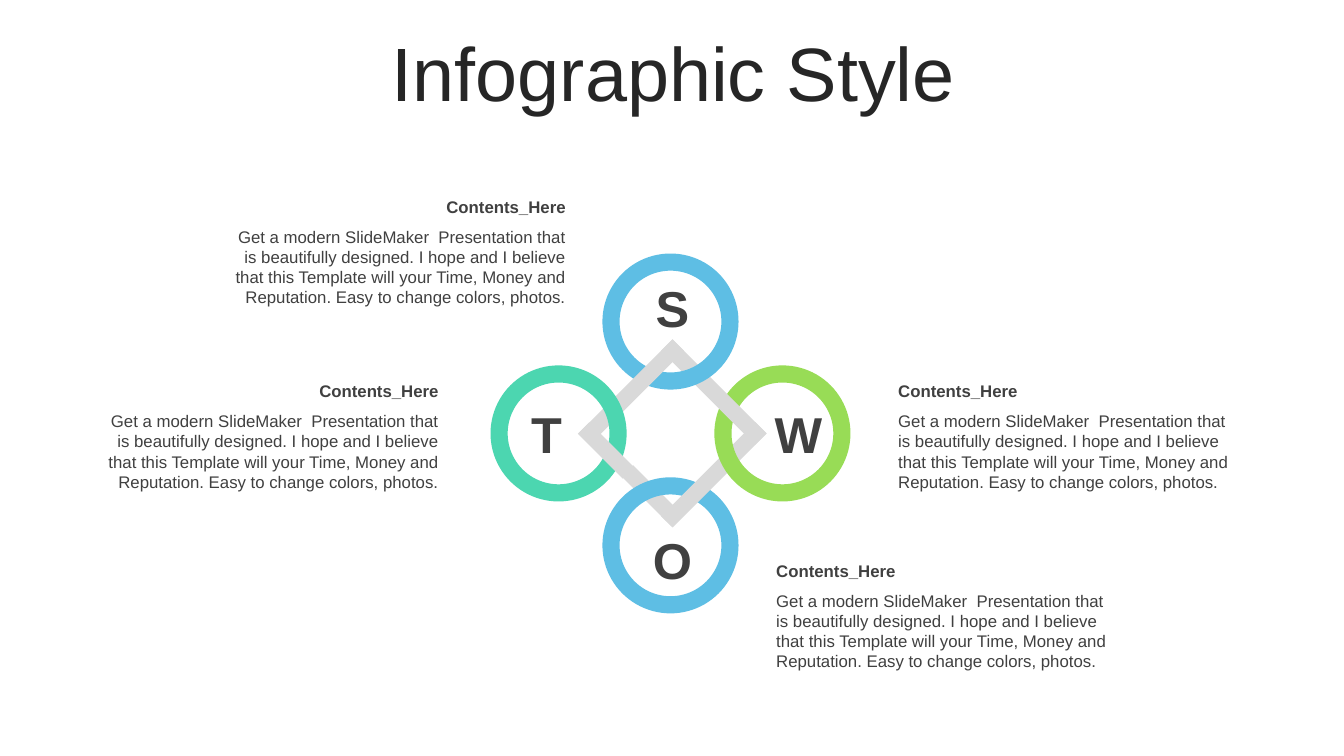
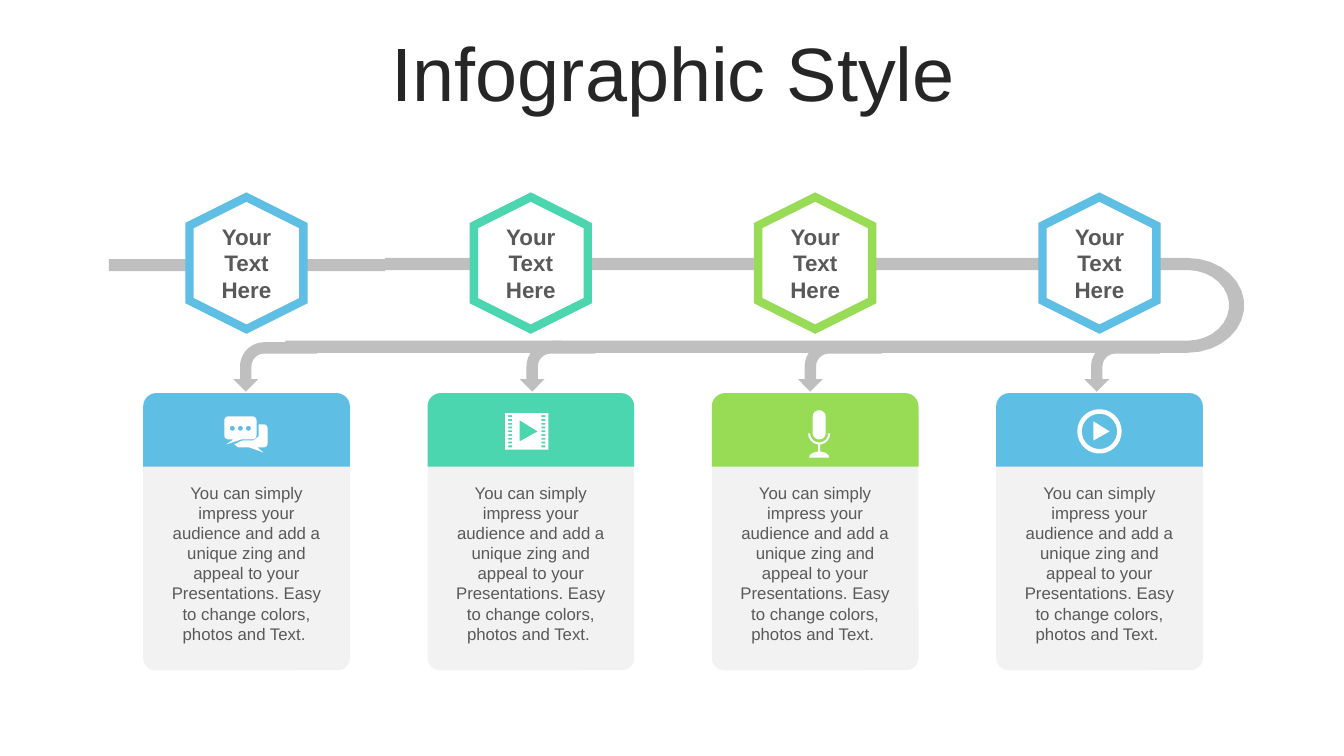
from math import cos, radians, sin

from lxml.etree import SubElement
from pptx import Presentation
from pptx.dml.color import RGBColor
from pptx.enum.shapes import MSO_SHAPE
from pptx.enum.text import MSO_ANCHOR, MSO_AUTO_SIZE, PP_ALIGN
from pptx.oxml.ns import qn
from pptx.util import Inches, Pt

# Shared look
FONT = "Arial"
BLUE = RGBColor(0x5E, 0xBE, 0xE4)
TEAL = RGBColor(0x4C, 0xD6, 0xB0)
GREEN = RGBColor(0x98, 0xDC, 0x56)
WHITE = RGBColor(0xFF, 0xFF, 0xFF)
CARD_GREY = RGBColor(0xF2, 0xF2, 0xF2)
BAR_GREY = RGBColor(0xD9, 0xD9, 0xD9)
TRACK_GREY = RGBColor(0xBF, 0xBF, 0xBF)
TITLE_INK = RGBColor(0x26, 0x26, 0x26)
DARK_INK = RGBColor(0x40, 0x40, 0x40)
SOFT_INK = RGBColor(0x59, 0x59, 0x59)

TITLE = "Infographic Style"
CAPTION_HEAD = "Contents_Here"
CAPTION_BODY = (
    "Get a modern SlideMaker  Presentation that is beautifully designed. "
    "I hope and I believe that this Template will your Time, Money and "
    "Reputation. Easy to change colors, photos."
)
STEP_TEXT = "Your Text Here"
CARD_TEXT = (
    "You can simply impress your audience and add a unique zing and appeal "
    "to your Presentations. Easy to change colors, photos and Text. "
)

# Ring diagram: everything is measured from its centre
HUB_X, HUB_Y = 6.67, 4.3
RING_SIZE, RING_REACH = 1.18, 1.11
LETTER_REACH = 1.25
BAR_LENGTH, BAR_WIDTH, BAR_REACH = 1.32, 0.16, 0.41

# Process diagram: four equal columns
FIRST_COLUMN, COLUMN_PITCH, CARD_WIDTH = 1.42, 2.82, 2.05
STEP_COLORS = (BLUE, TEAL, GREEN, BLUE)
HEADER_TOP, HEADER_HEIGHT = 3.9, 0.73
ICON_Y = 4.28


# Text and shapes
def add_text(frame, text, size=12, color=DARK_INK, bold=False,
             align=PP_ALIGN.LEFT, before=0, spacing=1.0):
    """Write one paragraph, using the empty first one when there is one."""
    para = frame.paragraphs[0]
    if para.runs:
        para = frame.add_paragraph()
    para.alignment = align
    para.space_before = Pt(before)
    para.line_spacing = spacing
    span = para.add_run()
    span.text = text
    span.font.name = FONT
    span.font.size = Pt(size)
    span.font.bold = bold
    span.font.color.rgb = color


def add_box(page, left, top, width, height, inset=None):
    box = page.shapes.add_textbox(
        Inches(left), Inches(top), Inches(width), Inches(height))
    frame = box.text_frame
    frame.word_wrap = True
    if inset is not None:
        set_insets(frame, inset, inset)
    return frame


def set_insets(frame, side, top):
    frame.margin_left = frame.margin_right = Inches(side)
    frame.margin_top = frame.margin_bottom = Inches(top)


def paint(shape, fill=None, line=None, weight=1):
    shape.shadow.inherit = False
    if fill is None:
        shape.fill.background()
    else:
        shape.fill.solid()
        shape.fill.fore_color.rgb = fill
    if line is None:
        shape.line.fill.background()
    else:
        shape.line.color.rgb = line
        shape.line.width = Pt(weight)
        outline = shape._element.spPr.find(qn("a:ln"))
        SubElement(outline, qn("a:miter"), lim="800000")


def add_centred(page, kind, x, y, width, height, rotation=0, **colors):
    """Place a preset shape by its middle point."""
    shape = page.shapes.add_shape(
        kind, Inches(x - width / 2), Inches(y - height / 2),
        Inches(width), Inches(height))
    shape.rotation = rotation
    paint(shape, **colors)
    return shape


def add_outline(page, contours, fill, x=0, y=0):
    """Draw closed contours as one freeform; inner contours become holes."""
    builder = None
    for contour in contours:
        points = [(Inches(x + dx), Inches(y + dy)) for dx, dy in contour]
        if builder is None:
            builder = page.shapes.build_freeform(*points[0], scale=1.0)
        else:
            builder.move_to(*points[0])
        builder.add_line_segments(points[1:], close=True)
    paint(builder.convert_to_shape(), fill=fill)


# Outlines
def arc(x, y, across, down, start=0, end=360):
    """Points on an ellipse; angles run clockwise from the right."""
    reach = max(across, down)
    step = 12 if reach > 0.15 else 20 if reach > 0.05 else 30
    count = abs(end - start) // step
    angles = [radians(start + (end - start) * i / count) for i in range(count + 1)]
    return [(x + across * cos(a), y + down * sin(a)) for a in angles]


def block(left, top, width, height):
    right, bottom = left + width, top + height
    return [(left, top), (right, top), (right, bottom), (left, bottom)]


def rounded(left, top, width, height, radius):
    x0, x1 = left + radius, left + width - radius
    y0, y1 = top + radius, top + height - radius
    corners = ((x0, y0, 180), (x1, y0, 270), (x1, y1, 0), (x0, y1, 90))
    return [point for x, y, start in corners
            for point in arc(x, y, radius, radius, start, start + 90)]


# Icons, as contours around their own middle
def chat_icon():
    front = rounded(-0.22, -0.15, 0.32, 0.23, 0.04)
    tail = [(-0.13, 0.08), (-0.05, 0.08), (-0.2, 0.13)]
    back = ([(0.12, -0.07)] + arc(0.17, -0.03, 0.04, 0.04, -90, 0)
            + arc(0.17, 0.12, 0.04, 0.04, 0, 90)
            + [(0.11, 0.16), (0.17, 0.21), (0.03, 0.16), (-0.08, 0.16),
               (-0.12, 0.13), (-0.04, 0.09), (0.07, 0.09), (0.12, 0.05)])
    dots = [arc(-0.14 + 0.08 * i, -0.03, 0.025, 0.025) for i in range(3)]
    return [front, tail, back] + dots


def film_icon():
    holes = [block(x, -0.16 + 0.0375 * row, 0.04, 0.018)
             for x in (-0.185, 0.145) for row in range(9)]
    play = [(-0.07, -0.11), (0.11, 0), (-0.07, 0.1)]
    return [block(-0.215, -0.18, 0.43, 0.36), play] + holes


def microphone_icon():
    capsule = rounded(-0.065, -0.21, 0.13, 0.29, 0.064)
    cradle = arc(0, 0.02, 0.11, 0.11, 0, 180) + arc(0, 0.02, 0.09, 0.09, 180, 0)
    stem = block(-0.01, 0.13, 0.02, 0.07)
    base = arc(0, 0.26, 0.1, 0.06, 180, 360)
    return [capsule, cradle, stem, base]


def play_icon():
    triangle = [(-0.06, -0.1), (0.1, 0), (-0.06, 0.09)]
    return [arc(0, 0, 0.22, 0.22), arc(0, 0, 0.175, 0.175), triangle]


# Parts of the ring diagram
def add_bar(page, dx, dy, rotation, length=BAR_LENGTH):
    add_centred(page, MSO_SHAPE.RECTANGLE, HUB_X + dx, HUB_Y + dy,
                length, BAR_WIDTH, rotation, fill=BAR_GREY)


def add_ring(page, across, down, color):
    add_centred(page, MSO_SHAPE.OVAL, HUB_X - 0.02 + across * RING_REACH,
                HUB_Y + down * RING_REACH, RING_SIZE, RING_SIZE,
                line=color, weight=12.25)


def add_letter(page, letter, across, down):
    width, height = 0.54, 0.61
    frame = add_box(page, HUB_X + across * LETTER_REACH - width / 2,
                    HUB_Y + down * LETTER_REACH - height / 2, width, height, inset=0)
    add_text(frame, letter, size=36, bold=True, align=PP_ALIGN.CENTER)


def add_caption(page, left, top, align):
    frame = add_box(page, left, top, 3.59, 1.21)
    add_text(frame, CAPTION_HEAD, bold=True, align=align)
    add_text(frame, CAPTION_BODY, align=align, before=7)


# Parts of the process diagram
def add_track(page):
    for left, top in ((1.08, 2.57), (2.83, 3.38)):
        add_centred(page, MSO_SHAPE.RECTANGLE, left + 1.37, top + 0.06,
                    2.74, 0.12, fill=TRACK_GREY)
    turn_x, turn_y = 11.78, 3.03
    outer = arc(turn_x, turn_y, 0.56, 0.47, -90, 90)
    inner = arc(turn_x, turn_y, 0.41, 0.35, 90, -90)
    loop = [(3.82, 2.56)] + outer + [(5.48, 3.5), (5.48, 3.38)] + inner + [(3.82, 2.68)]
    add_outline(page, [loop], TRACK_GREY)


def add_down_arrow(page, x, y, length):
    arrow = add_centred(page, MSO_SHAPE.BENT_ARROW, x, y, 0.49, length,
                        270, fill=TRACK_GREY)
    arrow._element.spPr.xfrm.set("flipH", "1")
    for index, value in enumerate((0.23, 0.25, 0.25, 0.49)):
        arrow.adjustments[index] = value


def add_step(page, x, color):
    add_centred(page, MSO_SHAPE.HEXAGON, x, 2.61, 1.31, 1.13, 270,
                fill=WHITE, line=color, weight=6)
    frame = add_box(page, x - 0.52, 2.16, 1.04, 0.91)
    add_text(frame, STEP_TEXT, size=16, color=SOFT_INK, bold=True, align=PP_ALIGN.CENTER)


def add_card(page, x, color):
    card = add_centred(page, MSO_SHAPE.ROUNDED_RECTANGLE, x, 5.315,
                       CARD_WIDTH, 2.67, fill=CARD_GREY)
    card.adjustments[0] = 0.06
    frame = card.text_frame
    frame.word_wrap = True
    frame.vertical_anchor = MSO_ANCHOR.TOP
    set_insets(frame, 0.22, 0)
    frame.margin_top = Inches(0.77)
    add_text(frame, CARD_TEXT, color=SOFT_INK, align=PP_ALIGN.CENTER)
    header = add_centred(page, MSO_SHAPE.ROUND_2_SAME_RECTANGLE, x,
                         HEADER_TOP + HEADER_HEIGHT / 2, CARD_WIDTH,
                         HEADER_HEIGHT, fill=color)
    header.adjustments[0] = 0.18


# Pages
def add_page(deck, layout):
    page = deck.slides.add_slide(layout)
    frame = page.shapes.title.text_frame
    frame.vertical_anchor = MSO_ANCHOR.MIDDLE
    frame.auto_size = MSO_AUTO_SIZE.NONE
    add_text(frame, TITLE, size=54, color=TITLE_INK,
             align=PP_ALIGN.CENTER, before=10, spacing=0.9)
    return page


def fill_ring_page(page):
    # Bars and rings alternate so that they look interlaced
    reach = BAR_REACH
    add_bar(page, -0.2, 0.62, 45, length=0.7)
    add_ring(page, 0, 1, BLUE)
    add_bar(page, reach, reach, 135)
    add_ring(page, 1, 0, GREEN)
    add_bar(page, reach, -reach, 45)
    add_ring(page, 0, -1, BLUE)
    add_bar(page, -reach, -reach, 315)
    add_ring(page, -1, 0, TEAL)
    add_bar(page, -0.66, 0.17, 45, length=0.63)

    for letter, across, down in (("S", 0, -1), ("W", 1, 0), ("T", -1, 0), ("O", 0, 1)):
        add_letter(page, letter, across, down)
    for left, top, align in (
            (8.81, 3.73, PP_ALIGN.LEFT), (7.6, 5.51, PP_ALIGN.LEFT),
            (2.12, 1.9, PP_ALIGN.RIGHT), (0.86, 3.73, PP_ALIGN.RIGHT)):
        add_caption(page, left, top, align)


def fill_process_page(page):
    add_track(page)
    for index, length in enumerate((0.83, 0.75, 0.83, 0.75)):
        add_down_arrow(page, 2.73 + 2.8 * index, 3.64, length)
    icons = ((chat_icon(), 0), (film_icon(), -0.04),
             (microphone_icon(), 0.04), (play_icon(), 0))
    for index, (color, (icon, shift)) in enumerate(zip(STEP_COLORS, icons)):
        x = FIRST_COLUMN + COLUMN_PITCH * index + CARD_WIDTH / 2
        add_step(page, x, color)
        add_card(page, x, color)
        add_outline(page, icon, WHITE, x + shift, ICON_Y)


def main():
    deck = Presentation()
    deck.slide_width, deck.slide_height = Inches(13.33), Inches(7.5)
    layout = deck.slide_layouts.get_by_name("Title Only")
    title = layout.placeholders[0]
    title.left, title.top = Inches(0.35), Inches(0.37)
    title.width, title.height = Inches(12.66), Inches(0.79)
    fill_ring_page(add_page(deck, layout))
    fill_process_page(add_page(deck, layout))
    deck.save("out.pptx")


if __name__ == "__main__":
    main()
